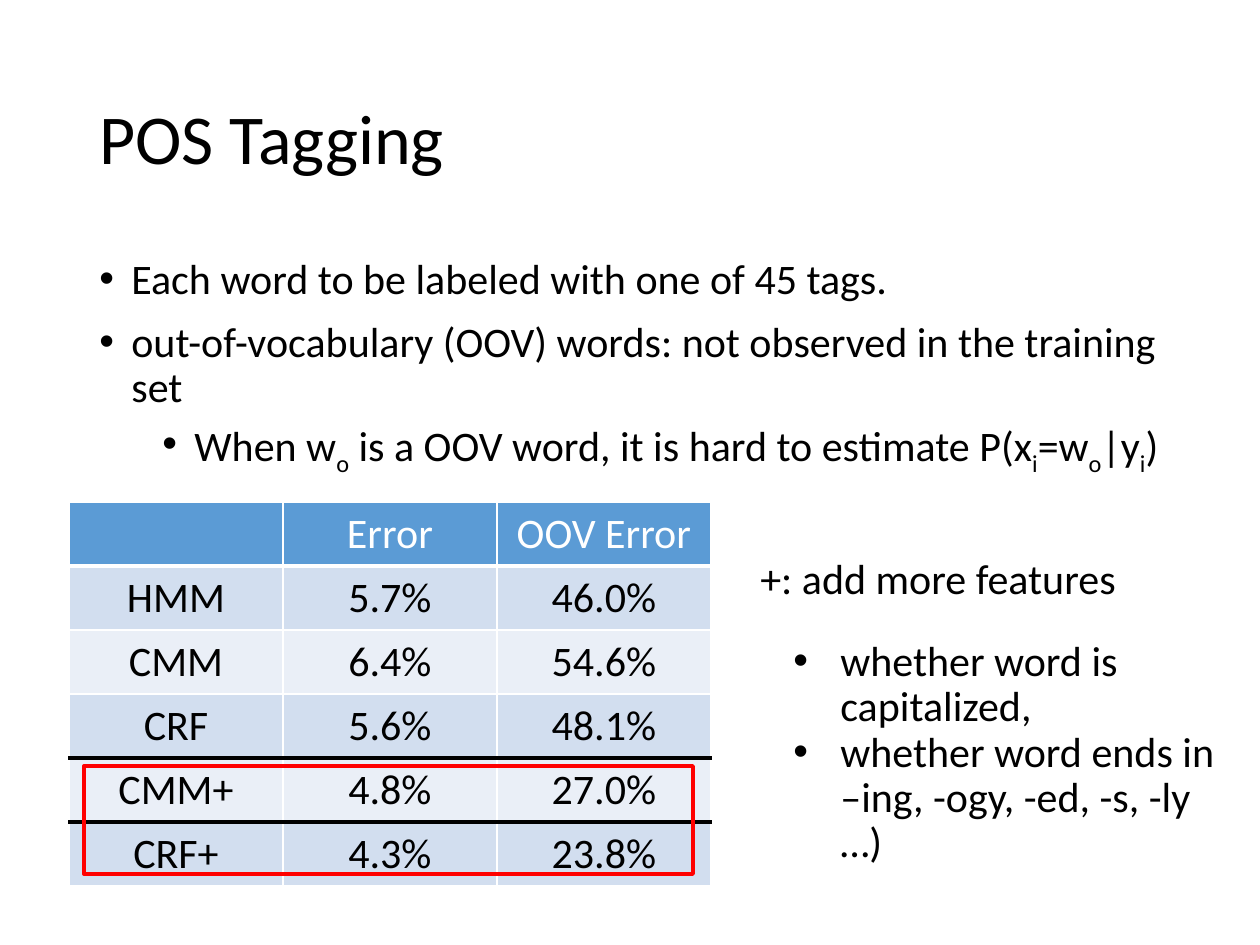
from lxml.etree import SubElement
from pptx import Presentation
from pptx.dml.color import RGBColor
from pptx.enum.shapes import MSO_SHAPE
from pptx.enum.text import MSO_ANCHOR, PP_ALIGN
from pptx.oxml.ns import qn
from pptx.util import Pt

EMU_PER_PX = 914400 / 126
FONT = "Calibri"
COLORS = {
    "text": "000000",
    "white": "FFFFFF",
    "header": "5B9BD5",
    "band_dark": "D2DEEF",
    "band_light": "EAEFF7",
    "highlight": "FF0000",
}
RESULTS = [
    ("", "Error", "OOV Error"),
    ("HMM", "5.7%", "46.0%"),
    ("CMM", "6.4%", "54.6%"),
    ("CRF", "5.6%", "48.1%"),
    ("CMM+", "4.8%", "27.0%"),
    ("CRF+", "4.3%", "23.8%"),
]
RULED_BELOW = (3, 4)


def px(length):
    return round(length * EMU_PER_PX)


def color(name):
    return RGBColor.from_string(COLORS[name])


def style(font, size=24, color_name="text"):
    font.name = FONT
    font.size = Pt(size)
    font.color.rgb = color(color_name)


def add_text_frame(slide, box):
    frame = slide.shapes.add_textbox(*map(px, box)).text_frame
    frame.word_wrap = True
    return frame


def add_bullet(paragraph, left, hang):
    properties = paragraph._p.get_or_add_pPr()
    properties.set("marL", str(px(left)))
    properties.set("indent", str(-px(hang)))
    SubElement(properties, qn("a:buFont"), typeface="Arial")
    SubElement(properties, qn("a:buChar"), char="•")


def add_bullets(slide, box, items):
    """Items are (text, left, hang, space before); a "_" lowers the letter after it."""
    frame = add_text_frame(slide, box)
    for index, (text, left, hang, space) in enumerate(items):
        paragraph = frame.paragraphs[0] if index == 0 else frame.add_paragraph()
        add_bullet(paragraph, left, hang)
        paragraph.line_spacing = 0.9
        paragraph.space_before = Pt(space)
        first, *lowered = text.split("_")
        pieces = [(first, False)]
        for part in lowered:
            pieces += [(part[0], True), (part[1:], False)]
        for piece, is_subscript in pieces:
            run = paragraph.add_run()
            run.text = piece
            style(run.font)
            if is_subscript:
                run.font._element.set("baseline", "-25000")


def add_title(slide, box):
    frame = add_text_frame(slide, box)
    frame.vertical_anchor = MSO_ANCHOR.MIDDLE
    frame.text = "POS Tagging"
    frame.paragraphs[0].line_spacing = 0.9
    style(frame.paragraphs[0].runs[0].font, 40)


def set_borders(cell, **edges):
    """Draw the edges L, R, T, B, each given as (color name, points)."""
    properties = cell._tc.get_or_add_tcPr()
    for position, side in enumerate("LRTB"):
        color_name, points = edges.get(side, ("white", 1))
        line = properties.makeelement(qn(f"a:ln{side}"), {"w": str(Pt(points))})
        fill = SubElement(line, qn("a:solidFill"))
        SubElement(fill, qn("a:srgbClr"), val=COLORS[color_name])
        properties.insert(position, line)


def row_edge(row):
    """Border below the given row, shared with the row after it."""
    if row in RULED_BELOW:
        return "text", 3
    return "white", 3 if row == 0 else 1


def add_results(slide, box):
    rows, columns = len(RESULTS), len(RESULTS[0])
    left, top, width, height = box
    table = slide.shapes.add_table(rows, columns, *map(px, box)).table
    for column in table.columns:
        column.width = px(width / columns)
    for row, values in enumerate(RESULTS):
        table.rows[row].height = px(height / rows)
        fill = "header" if row == 0 else ("band_light", "band_dark")[row % 2]
        for column, value in enumerate(values):
            cell = table.cell(row, column)
            cell.text = value
            cell.vertical_anchor = MSO_ANCHOR.MIDDLE
            cell.fill.solid()
            cell.fill.fore_color.rgb = color(fill)
            paragraph = cell.text_frame.paragraphs[0]
            paragraph.alignment = PP_ALIGN.CENTER
            style(paragraph.font, color_name="text" if row else "white")
            for run in paragraph.runs:
                style(run.font, color_name="text" if row else "white")
                run.font.bold = False
            above = row_edge(row - 1) if row else ("white", 1)
            set_borders(cell, T=above, B=row_edge(row))

    highlight = slide.shapes.add_shape(
        MSO_SHAPE.RECTANGLE, px(left + 15), px(top + 264), px(width - 33), px(108)
    )
    highlight.shadow.inherit = False
    highlight.fill.background()
    highlight.line.color.rgb = color("highlight")
    highlight.line.width = Pt(2.25)


def add_features(slide, box):
    left, top, width, height = box
    note = add_text_frame(slide, (left, top, 426, 63))
    note.text = "+: add more features"
    style(note.paragraphs[0].runs[0].font)
    add_bullets(slide, (left + 33, top + 88, width - 33, height - 88), [
        ("whether word is capitalized,", 47, 47, 0),
        ("whether word ends in –ing, -ogy, -ed, -s, -ly …)", 47, 47, 0),
    ])


def main():
    presentation = Presentation()
    presentation.slide_width = px(1260)
    presentation.slide_height = px(945)
    slide = presentation.slides.add_slide(presentation.slide_layouts[6])
    add_title(slide, (87, 50, 1086, 183))
    add_bullets(slide, (87, 252, 1086, 600), [
        ("Each word to be labeled with one of 45 tags.", 32, 32, 0),
        ("out-of-vocabulary (OOV) words: not observed in the training set", 32, 32, 10),
        ("When w_o is a OOV word, it is hard to estimate P(x_i=w_o|y_i)", 95, 32, 5),
    ])
    add_results(slide, (69, 502, 642, 384))
    add_features(slide, (748, 546, 480, 330))
    presentation.save("out.pptx")


if __name__ == "__main__":
    main()
